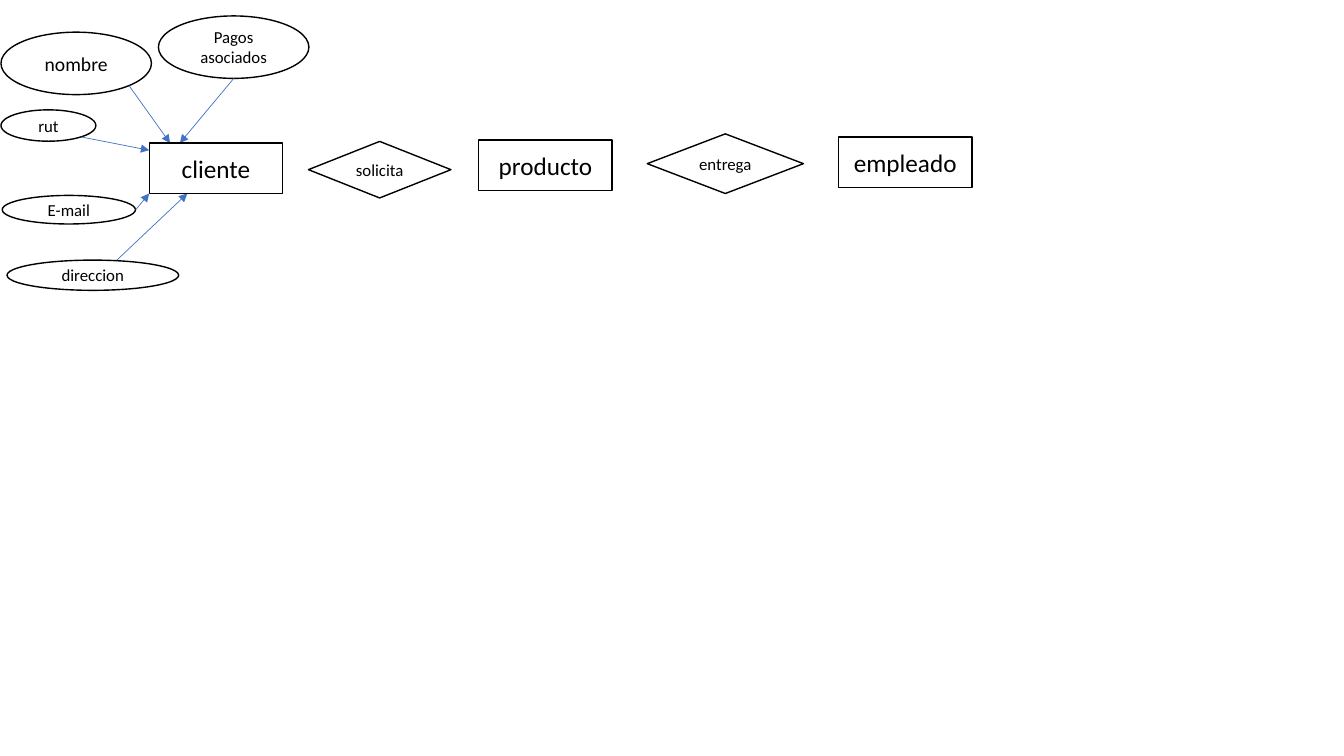
from pptx import Presentation
from pptx.dml.color import RGBColor
from pptx.enum.shapes import MSO_CONNECTOR, MSO_SHAPE
from pptx.enum.text import MSO_ANCHOR, PP_ALIGN
from pptx.oxml.ns import qn
from pptx.util import Pt
from lxml import etree

OVAL, RECT, DIAMOND = MSO_SHAPE.OVAL, MSO_SHAPE.RECTANGLE, MSO_SHAPE.DIAMOND
STRAIGHT = MSO_CONNECTOR.STRAIGHT
MIDDLE, CENTER = MSO_ANCHOR.MIDDLE, PP_ALIGN.CENTER

THEME = {
    "font": "Calibri",
    "fill": RGBColor(0xFF, 0xFF, 0xFF),
    "ink": RGBColor(0, 0, 0),
    "arrow": RGBColor(0x44, 0x72, 0xC4),
    "entity": 18,
    "name": 14,
    "label": 12,
}

prs = Presentation()
prs.slide_width, prs.slide_height = Pt(960), Pt(540)
s = prs.slides.add_slide(prs.slide_layouts[6])


def add_node(kind, text, size, left, top, width, height):
    sp = s.shapes.add_shape(kind, Pt(left), Pt(top), Pt(width), Pt(height))
    sp.shadow.inherit = False
    sp.fill.solid()
    sp.fill.fore_color.rgb = THEME["fill"]
    sp.line.color.rgb = THEME["ink"]
    sp.line.width = Pt(1)
    tf = sp.text_frame
    tf.word_wrap = True
    tf.vertical_anchor = MIDDLE
    p = tf.paragraphs[0]
    p.alignment = CENTER
    r = p.add_run()
    r.text = text
    r.font.name = THEME["font"]
    r.font.size = Pt(THEME[size])
    r.font.color.rgb = THEME["ink"]


def add_arrow(x1, y1, x2, y2):
    cx = s.shapes.add_connector(STRAIGHT, Pt(x1), Pt(y1), Pt(x2), Pt(y2))
    cx.line.color.rgb = THEME["arrow"]
    cx.line.width = Pt(0.5)
    etree.SubElement(cx.line._get_or_add_ln(), qn("a:tailEnd"), type="triangle")
    etree.SubElement(cx._element.spPr, qn("a:effectLst"))


attributes = [
    ("nombre", "name", 0.7, 23, 107.5, 44.6),
    ("Pagos asociados", "label", 113.2, 11.4, 107.5, 44.6),
    ("direccion", "label", 5, 185.8, 122.6, 21.6),
    ("E-mail", "label", 1.6, 139.6, 95.2, 20.4),
    ("rut", "label", 0.7, 78.5, 67.8, 22.4),
]
for text, size, *box in attributes:
    add_node(OVAL, text, size, *box)

entity_width, entity_height = 95.3, 36
client_left, client_top = 106.6, 102.2
client_bottom = client_top + entity_height

arrows = [
    (92.2, 61.2, 121.5, client_top),
    (58.3, 97.9, client_left, 107.3),
    (97, 149.8, client_left, client_bottom),
    (83.5, 185.8, 133.8, client_bottom),
    (167, 56, 128.5, client_top),
]
for ends in arrows:
    add_arrow(*ends)

entities = [
    ("cliente", client_left, client_top),
    ("producto", 342, 100),
    ("empleado", 599, 97.9),
]
for text, left, top in entities:
    add_node(RECT, text, "entity", left, top, entity_width, entity_height)

relations = [
    ("solicita", 220.3, 101, 101.8, 40.4),
    ("entrega", 462.3, 95.6, 111.6, 42.6),
]
for text, *box in relations:
    add_node(DIAMOND, text, "label", *box)

prs.save("out.pptx")
